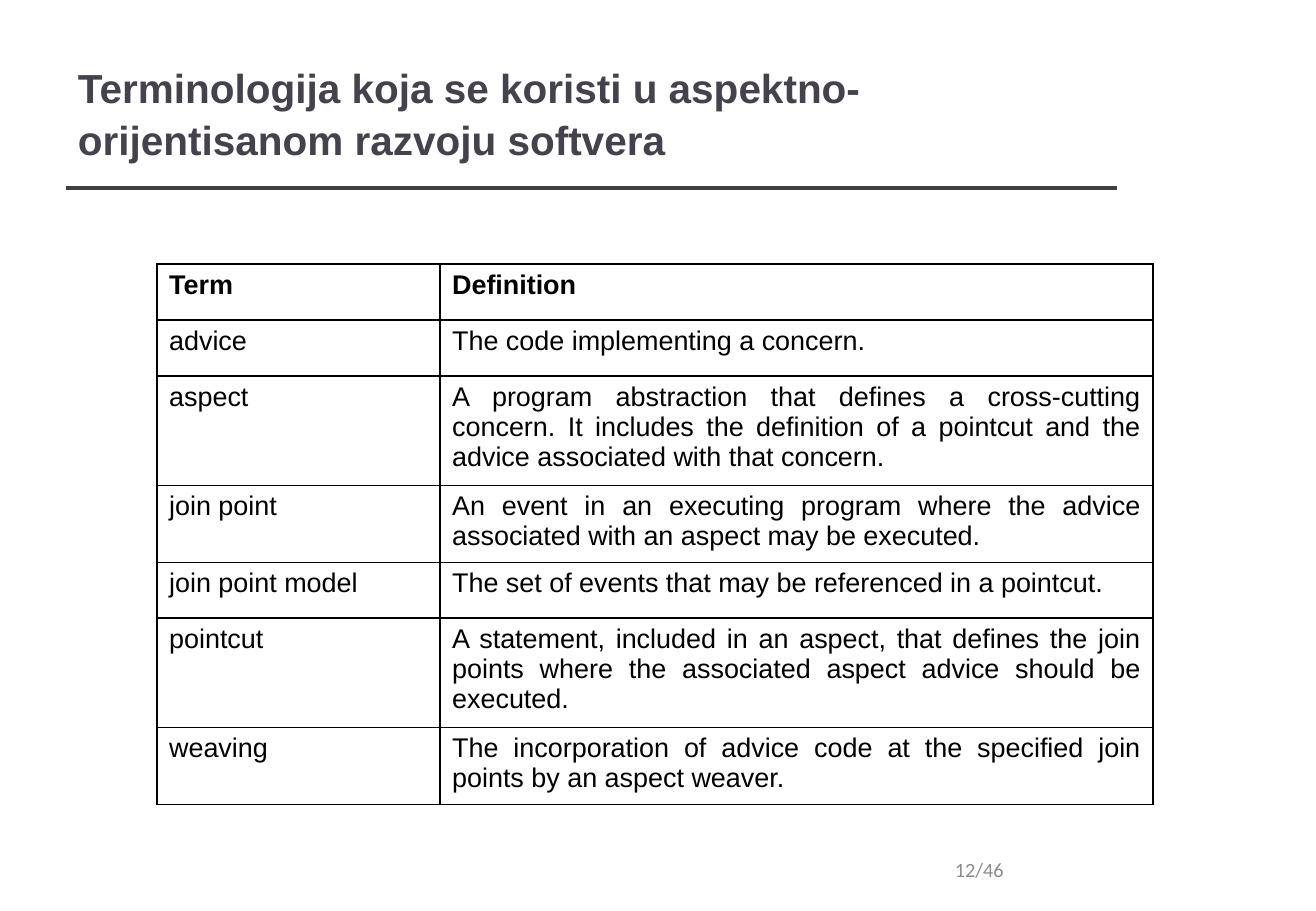
"""Build the slide on aspect-oriented terminology."""
from dataclasses import dataclass

from lxml import etree
from pptx import Presentation
from pptx import util as u
from pptx.dml.color import RGBColor
from pptx.enum import shapes, text
from pptx.oxml import ns

PIXELS_PER_INCH = 121.5
TITLE_COLOR = RGBColor(0x46, 0x42, 0x4D)
RULE_COLOR = RGBColor(0x40, 0x40, 0x40)
NUMBER_COLOR = RGBColor(0x8B, 0x8B, 0x8B)
BLACK = RGBColor(0, 0, 0)


@dataclass(frozen=True)
class Entry:
    term: str
    definition: str
    height: int
    bold: bool = False


ENTRIES = [
    Entry("Term", "Definition", 56, bold=True),
    Entry("advice", "The code implementing a concern.", 56),
    Entry("aspect", "A program abstraction that defines a cross-cutting concern. "
          "It includes the definition of a pointcut and the advice associated "
          "with that concern.", 103),
    Entry("join point", "An event in an executing program where the advice "
          "associated with an aspect may be executed.", 73),
    Entry("join point model",
          "The set of events that may be referenced in a pointcut.", 56),
    Entry("pointcut", "A statement, included in an aspect, that defines the join "
          "points where the associated aspect advice should be executed.", 103),
    Entry("weaving", "The incorporation of advice code at the specified join "
          "points by an aspect weaver.", 73),
]
COLUMN_WIDTHS = [283, 713]


def px(pixels: int) -> u.Emu:
    return u.Inches(pixels / PIXELS_PER_INCH)


def write(frame, content: str, *, size: int, color: RGBColor, font: str = "Arial",
          bold: bool = False, align=text.PP_ALIGN.LEFT, spacing: float = 1.0) -> None:
    paragraph = frame.paragraphs[0]
    paragraph.alignment = align
    paragraph.line_spacing = spacing
    run = paragraph.add_run()
    run.text = content
    run.font.name = font
    run.font.size = u.Pt(size)
    run.font.bold = bold
    run.font.color.rgb = color


def add_label(slide, content: str, left: int, top: int, width: int, height: int,
              **style) -> None:
    frame = slide.shapes.add_textbox(px(left), px(top), px(width), px(height)).text_frame
    frame.word_wrap = True
    frame.vertical_anchor = text.MSO_ANCHOR.MIDDLE
    write(frame, content, **style)


def add_rule(slide, left: int, right: int, y: int) -> None:
    rule = slide.shapes.add_connector(
        shapes.MSO_CONNECTOR.STRAIGHT, px(left), px(y), px(right), px(y))
    rule.line.color.rgb = RULE_COLOR
    rule.line.width = u.Pt(2)
    etree.SubElement(rule._element.spPr, ns.qn("a:effectLst"))


def add_borders(cell) -> None:
    properties = cell._tc.get_or_add_tcPr()
    for side in ("lnL", "lnR", "lnT", "lnB"):
        border = etree.SubElement(properties, ns.qn(f"a:{side}"), w=str(u.Pt(1)))
        fill = etree.SubElement(border, ns.qn("a:solidFill"))
        etree.SubElement(fill, ns.qn("a:srgbClr"), val=str(BLACK))


def add_terms(slide, left: int, top: int) -> None:
    height = sum(entry.height for entry in ENTRIES)
    table = slide.shapes.add_table(
        len(ENTRIES), len(COLUMN_WIDTHS), px(left), px(top),
        px(sum(COLUMN_WIDTHS)), px(height)).table
    table.first_row = table.horz_banding = False
    for column, width in zip(table.columns, COLUMN_WIDTHS):
        column.width = px(width)
    for row, entry in zip(table.rows, ENTRIES):
        row.height = px(entry.height)
        for cell, content in zip(row.cells, (entry.term, entry.definition)):
            add_borders(cell)
            cell.fill.background()
            write(cell.text_frame, content, size=16, color=BLACK, bold=entry.bold,
                  align=text.PP_ALIGN.JUSTIFY)


def main() -> None:
    presentation = Presentation()
    presentation.slide_width = px(1316)
    presentation.slide_height = px(911)
    slide = presentation.slides.add_slide(presentation.slide_layouts[6])
    add_rule(slide, 66, 1117, 188)
    add_label(slide, "Terminologija koja se koristi u aspektno-orijentisanom "
              "razvoju softvera", 66, 36, 1050, 152,
              size=24, color=TITLE_COLOR, bold=True, spacing=1.06)
    add_terms(slide, 157, 264)
    add_label(slide, "12/46", 943, 845, 307, 49,
              size=12, color=NUMBER_COLOR, font="Calibri")
    presentation.save("out.pptx")


main()
